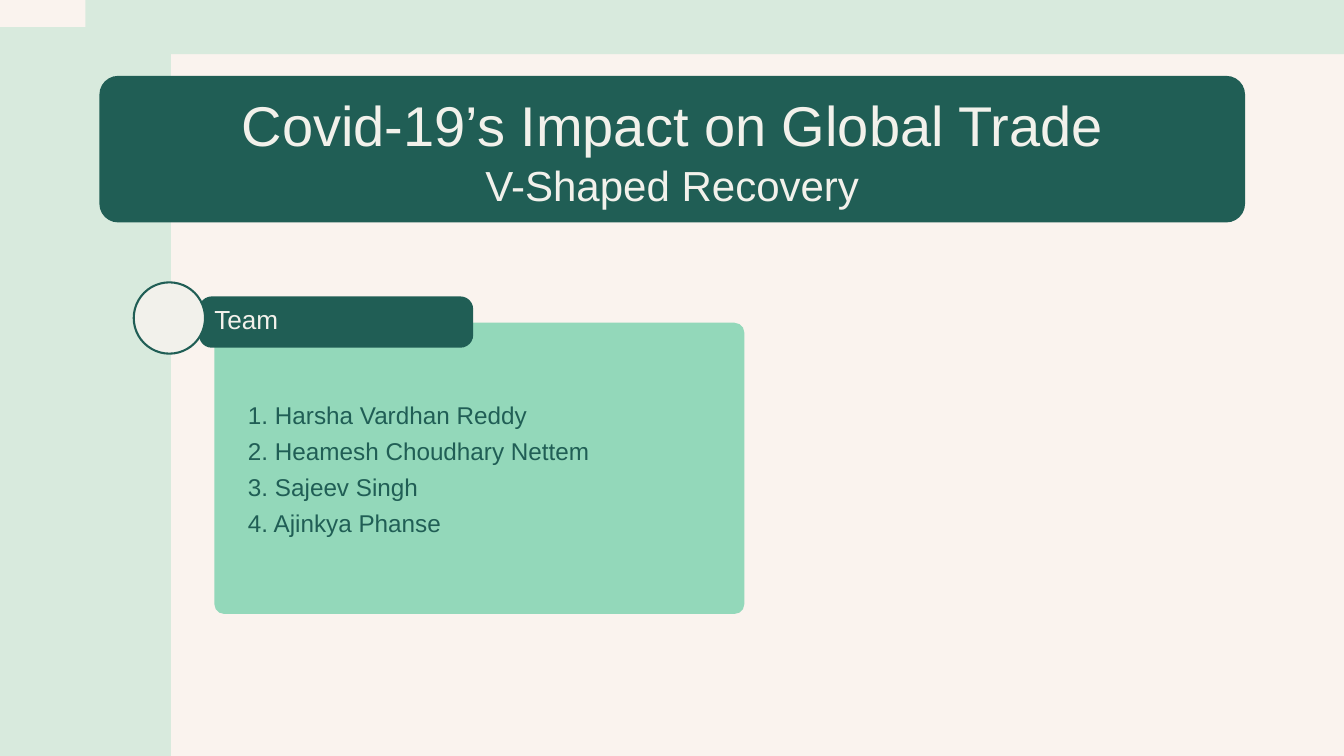
import pptx
import pptx.dml.color
import pptx.enum.shapes
import pptx.enum.text
import pptx.oxml
import pptx.oxml.ns
import pptx.util
from pptx.util import Pt

RGBColor = pptx.dml.color.RGBColor
CREAM = RGBColor(0xFA, 0xF3, 0xEE)
IVORY = RGBColor(0xF2, 0xF1, 0xEB)
MINT = RGBColor(0x93, 0xD8, 0xBA)
GREEN = RGBColor(0x20, 0x5E, 0x55)

SHAPES = pptx.enum.shapes.MSO_SHAPE
LEFT = pptx.enum.text.PP_ALIGN.LEFT
CENTER = pptx.enum.text.PP_ALIGN.CENTER

WIDTH, HEIGHT = 1440, 810
TEAM = ["Harsha Vardhan Reddy", "Heamesh Choudhary Nettem",
        "Sajeev Singh", "Ajinkya Phanse"]


class SlideBuilder:
    """Holds the font and the current slide; all lengths are in points."""

    font_name = "Arial"

    def __init__(self, slide):
        self.slide = slide

    def background(self, color):
        fill = self.slide.background.fill
        fill.solid()
        fill.fore_color.rgb = color

    def paint(self, shape, color, outline=None, outline_width=0):
        shape.shadow.inherit = False
        shape.fill.solid()
        shape.fill.fore_color.rgb = color
        if outline is None:
            shape.line.fill.background()
        else:
            shape.line.color.rgb = outline
            shape.line.width = Pt(outline_width)

    def polygon(self, points, color, opacity):
        """Draw a closed outline; opacity is in percent."""
        start, *rest = [(Pt(x), Pt(y)) for x, y in points]
        builder = self.slide.shapes.build_freeform(*start)
        builder.add_line_segments(rest, close=True)
        shape = builder.convert_to_shape()
        self.paint(shape, color)
        tag = pptx.oxml.ns.qn("a:srgbClr")
        srgb = next(shape.fill._xPr.iter(tag))
        alpha = pptx.oxml.parse_xml(
            f'<a:alpha {pptx.oxml.ns.nsdecls("a")} val="{opacity * 1000}"/>')
        srgb.append(alpha)

    def rounded(self, left, top, width, height, radius, color):
        shape = self.slide.shapes.add_shape(
            SHAPES.ROUNDED_RECTANGLE, Pt(left), Pt(top), Pt(width), Pt(height))
        shape.adjustments[0] = radius / min(width, height)
        self.paint(shape, color)

    def circle(self, left, top, size, color, outline, outline_width):
        shape = self.slide.shapes.add_shape(
            SHAPES.OVAL, Pt(left), Pt(top), Pt(size), Pt(size))
        self.paint(shape, color, outline, outline_width)

    def text(self, left, top, width, height, lines, color, spacing, align=LEFT):
        """Add a text box; lines holds pairs of wording and font size."""
        box = self.slide.shapes.add_textbox(
            Pt(left), Pt(top), Pt(width), Pt(height))
        frame = box.text_frame
        frame_format = {"word_wrap": True, "margin_left": 0, "margin_top": 0,
                        "margin_right": 0, "margin_bottom": 0}
        for name, value in frame_format.items():
            setattr(frame, name, value)
        for index, (wording, size) in enumerate(lines):
            para = frame.add_paragraph() if index else frame.paragraphs[0]
            para.alignment = align
            para.line_spacing = spacing
            span = para.add_run()
            span.text = wording
            for name, value in {"name": self.font_name, "size": Pt(size)}.items():
                setattr(span.font, name, value)
            span.font.color.rgb = color


def main():
    deck = pptx.Presentation()
    deck.slide_width, deck.slide_height = Pt(WIDTH), Pt(HEIGHT)
    page = SlideBuilder(deck.slides.add_slide(deck.slide_layouts[6]))
    page.background(CREAM)

    band_x, band_y = 183, 58
    notch_x, notch_y = band_x / 2, band_y / 2
    page.polygon([(notch_x, 0), (WIDTH, 0), (WIDTH, band_y), (band_x, band_y),
                  (band_x, HEIGHT), (0, HEIGHT), (0, notch_y),
                  (notch_x, notch_y)], MINT, 32)

    page.rounded(106.5, 81.3, 1227.5, 157, 20, GREEN)
    page.text(168, 95, 1104.5, 129.6,
              [("Covid-19’s Impact on Global Trade", 60),
               ("V-Shaped Recovery", 45)], IVORY, 1.03, CENTER)

    page.rounded(229.7, 345.8, 567.8, 312, 10.5, MINT)
    page.rounded(213.2, 317.6, 293.8, 55, 13.7, GREEN)
    page.circle(143.3, 302.5, 76.4, IVORY, GREEN, 2.25)
    page.text(229.7, 324, 214.6, 33.8, [("Team", 28)], IVORY, 1.03)
    members = [(f"{number}. {name}", 26) for number, name in enumerate(TEAM, 1)]
    page.text(265.7, 422, 447.8, 147.6, members, GREEN, 1.23)

    deck.save("out.pptx")


if __name__ == "__main__":
    main()
